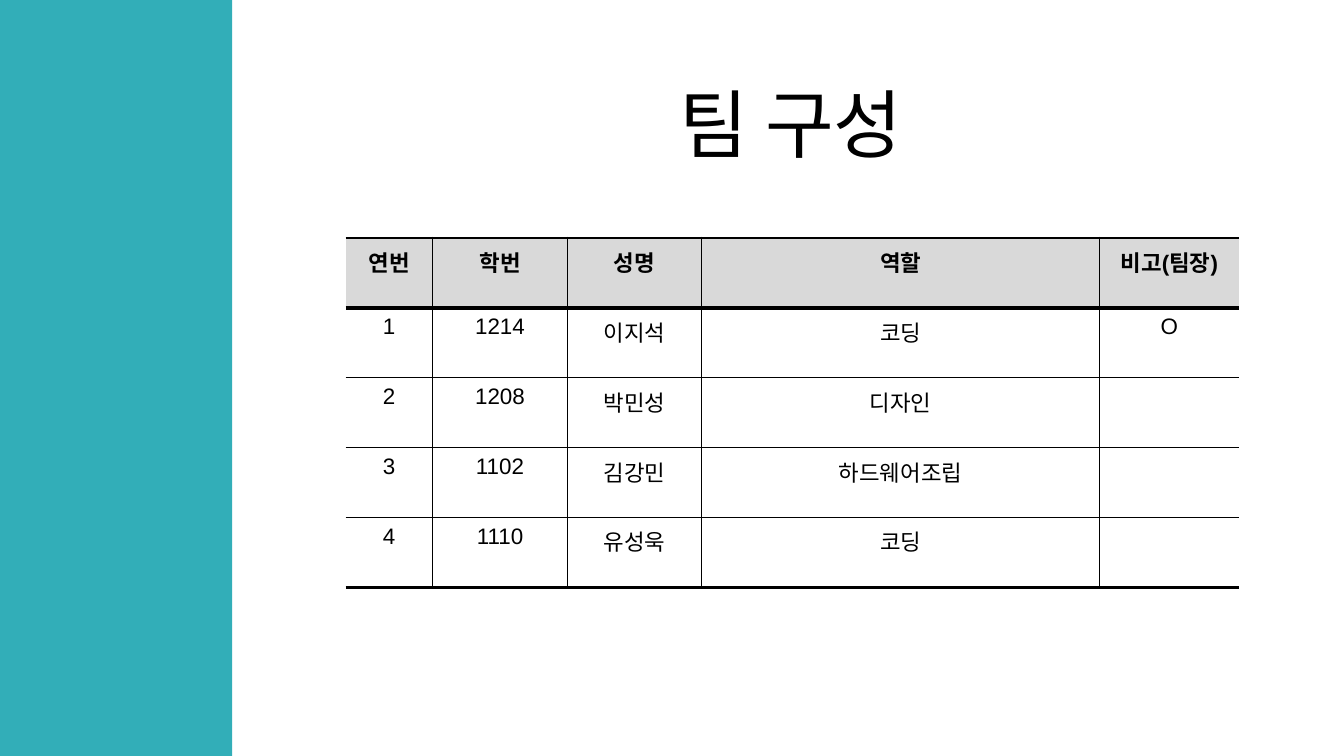
from lxml.etree import SubElement
from pptx import Presentation
from pptx.dml.color import RGBColor
from pptx.enum.shapes import MSO_SHAPE
from pptx.enum.text import MSO_ANCHOR, MSO_AUTO_SIZE, PP_ALIGN
from pptx.oxml.ns import qn
from pptx.util import Cm, Pt

FONT = "Arial"
TEAL = "32AEB8"
GREY = "D9D9D9"
BLACK = "000000"
THIN, OUTER, HEADER_RULE = 0.6, 1.7, 1.98
COLUMN_WIDTHS = [1.65, 2.54, 2.54, 7.52, 2.64]
ROW_HEIGHT = 1.32
MEMBERS = [
    ["연번", "학번", "성명", "역할", "비고(팀장)"],
    ["1", "1214", "이지석", "코딩", "O"],
    ["2", "1208", "박민성", "디자인", ""],
    ["3", "1102", "김강민", "하드웨어조립", ""],
    ["4", "1110", "유성욱", "코딩", ""],
]


def color(hex_value):
    return RGBColor.from_string(hex_value)


def write(frame, text, size, bold=False, spacing=None, gap=None, hanging=None):
    paragraph = frame.paragraphs[0]
    paragraph.alignment = PP_ALIGN.CENTER
    if spacing is not None:
        paragraph.line_spacing = spacing
    if gap is not None:
        paragraph.space_before = paragraph.space_after = Pt(gap)
    if hanging is not None:
        properties = paragraph._p.get_or_add_pPr()
        properties.set("marL", str(Cm(hanging)))
        properties.set("indent", str(-Cm(hanging)))
    paragraph.font.size = Pt(size)
    if text:
        run = paragraph.add_run()
        run.text = text
        run.font.name = FONT
        run.font.size = Pt(size)
        run.font.bold = bold
        run.font.color.rgb = color(BLACK)
    else:
        ending = SubElement(paragraph._p, qn("a:endParaRPr"))
        ending.set("sz", str(size * 100))


def set_border(cell, side, width):
    line = SubElement(cell._tc.get_or_add_tcPr(), qn(f"a:ln{side}"))
    if not width:
        line.set("w", "0")
        SubElement(line, qn("a:noFill"))
        return
    line.set("w", str(Pt(width)))
    fill = SubElement(line, qn("a:solidFill"))
    SubElement(fill, qn("a:srgbClr")).set("val", BLACK)


def add_side_band(slide, height):
    band = slide.shapes.add_shape(MSO_SHAPE.RECTANGLE, 0, 0, Cm(4.39), height)
    band.shadow.inherit = False
    band.fill.solid()
    band.fill.fore_color.rgb = color(TEAL)
    band.line.fill.background()


def place_title(slide, text):
    title = slide.shapes.title
    title.left, title.top = Cm(4.45), Cm(0.13)
    title.width, title.height = Cm(21.01), Cm(4.37)
    frame = title.text_frame
    frame.auto_size = MSO_AUTO_SIZE.NONE
    frame.word_wrap = True
    frame.vertical_anchor = MSO_ANCHOR.MIDDLE
    frame.margin_left = frame.margin_right = Cm(0.25)
    frame.margin_top = frame.margin_bottom = Cm(0.25)
    write(frame, text, 40)


def format_cell(cell, text, is_header, borders):
    cell.margin_left = cell.margin_right = Cm(0.18)
    cell.margin_top = cell.margin_bottom = Cm(0.05)
    for side, width in borders.items():
        set_border(cell, side, width)
    if is_header:
        cell.fill.solid()
        cell.fill.fore_color.rgb = color(GREY)
    else:
        cell.fill.background()
    write(cell.text_frame, text, 12, bold=is_header, spacing=1.15, gap=12, hanging=1.17)


def add_member_table(slide):
    row_count, column_count = len(MEMBERS), len(COLUMN_WIDTHS)
    members = slide.shapes.add_table(
        row_count, column_count, Cm(6.53), Cm(4.5),
        Cm(sum(COLUMN_WIDTHS)), Cm(ROW_HEIGHT * row_count),
    ).table
    members.first_row = members.horz_banding = False
    for column, width in zip(members.columns, COLUMN_WIDTHS):
        column.width = Cm(width)
    row_rules = [OUTER, HEADER_RULE] + [THIN] * (row_count - 2) + [OUTER]
    column_rules = [0] + [THIN] * (column_count - 1) + [0]
    for row, values in enumerate(MEMBERS):
        members.rows[row].height = Cm(ROW_HEIGHT)
        for column, value in enumerate(values):
            borders = {
                "L": column_rules[column],
                "R": column_rules[column + 1],
                "T": row_rules[row],
                "B": row_rules[row + 1],
            }
            format_cell(members.cell(row, column), value, row == 0, borders)


def main():
    presentation = Presentation()
    presentation.slide_width = Cm(25.4)
    presentation.slide_height = Cm(14.29)
    slide = presentation.slides.add_slide(presentation.slide_layouts[5])
    add_side_band(slide, presentation.slide_height)
    add_member_table(slide)
    place_title(slide, "팀 구성")
    presentation.save("out.pptx")


if __name__ == "__main__":
    main()
